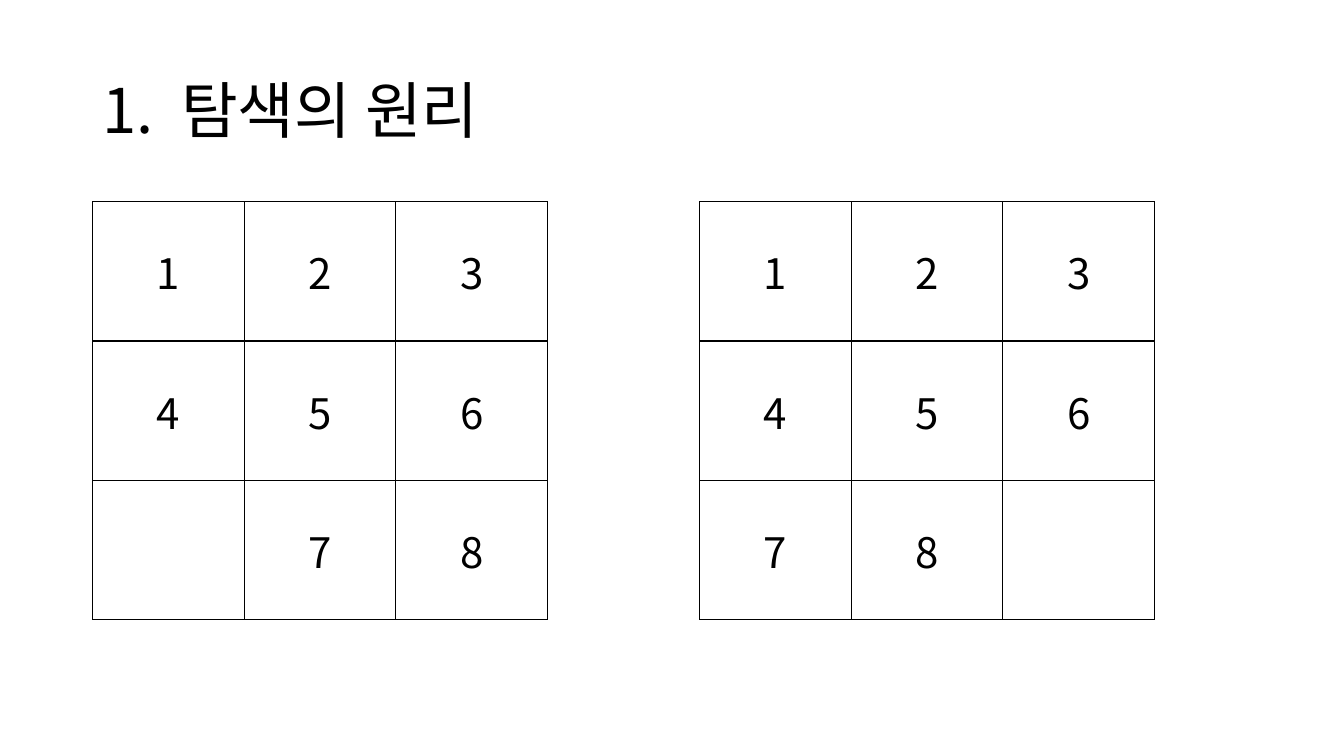
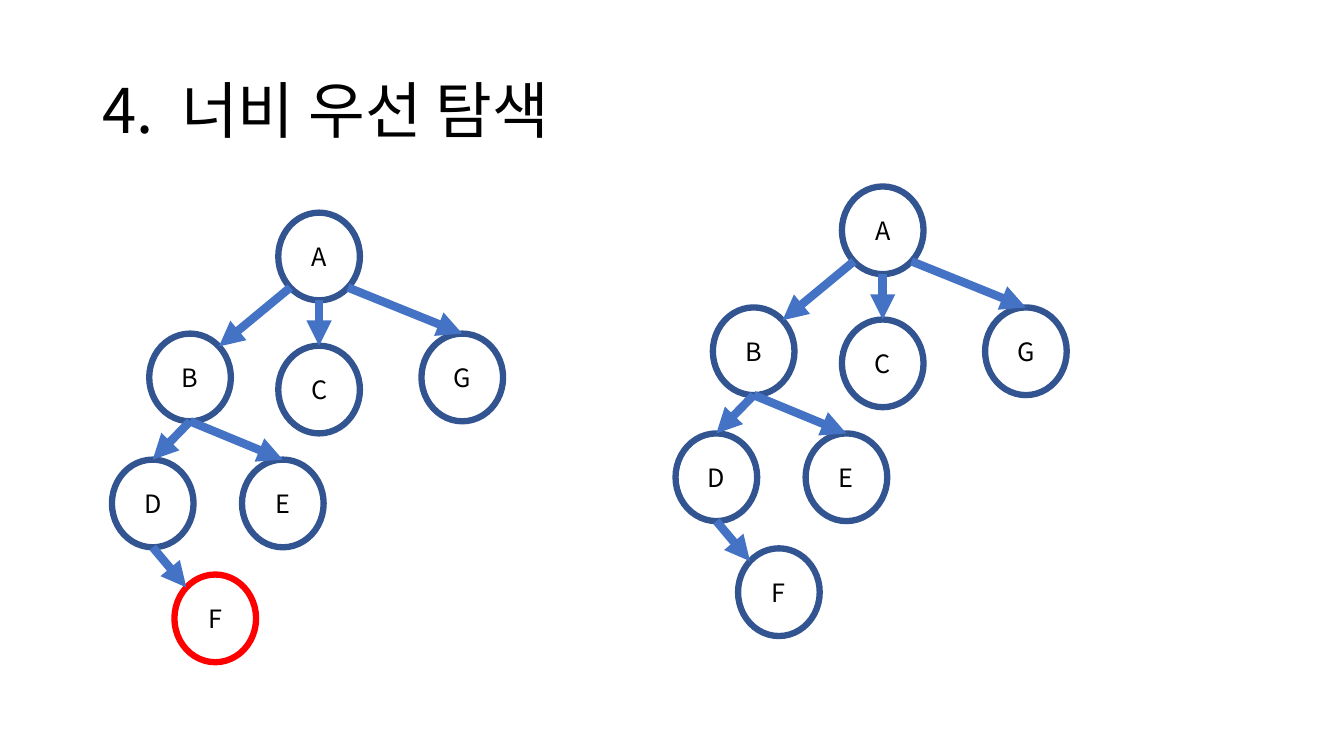
from dataclasses import dataclass
from math import sqrt

from lxml import etree
from pptx import Presentation
from pptx import util as u
from pptx.dml.color import RGBColor
from pptx.enum import shapes, text
from pptx.oxml import ns


@dataclass(frozen=True)
class Theme:
    font: str = "Noto Sans CJK KR"
    ink: RGBColor = RGBColor(0, 0, 0)
    ring: RGBColor = RGBColor(0x32, 0x54, 0x91)
    goal: RGBColor = RGBColor(0xFF, 0, 0)
    arrow: RGBColor = RGBColor(0x44, 0x72, 0xC4)
    title_size: int = 44
    tile_size: int = 30
    node_size: int = 18


theme = Theme()
CENTER = text.PP_ALIGN.CENTER


def write(frame, words, size, align=text.PP_ALIGN.LEFT, spacing=1.0, hanging=0):
    """Put one paragraph in a frame; hanging is the indent after a number."""
    frame.word_wrap = True
    frame.vertical_anchor = text.MSO_ANCHOR.MIDDLE
    paragraph = frame.paragraphs[0]
    paragraph.alignment = align
    paragraph.line_spacing = spacing
    if hanging:
        properties = paragraph._p.get_or_add_pPr()
        properties.set("marL", str(u.Inches(hanging)))
        properties.set("indent", str(-u.Inches(hanging)))
    run = paragraph.add_run()
    run.text = words
    run.font.size = u.Pt(size)
    run.font.name = theme.font
    run.font.color.rgb = theme.ink
    east_asian = etree.SubElement(run._r.get_or_add_rPr(), ns.qn("a:ea"))
    east_asian.set("typeface", theme.font)


deck = Presentation()
deck.slide_width, deck.slide_height = u.Inches(13.33), u.Inches(7.5)

# Slides and their titles
slides = []
for heading in ("1.\t탐색의 원리", "4.\t너비 우선 탐색"):
    slide = deck.slides.add_slide(deck.slide_layouts[6])
    title = slide.shapes.add_textbox(
        u.Inches(0.92), u.Inches(0.4), u.Inches(11.5), u.Inches(1.45))
    write(title.text_frame, heading, theme.title_size, spacing=0.9, hanging=0.78)
    slides.append(slide)
principle, breadth_first = slides

# Sliding puzzle: start and goal boards
for left, tiles in ((0.92, "123456 78"), (6.94, "12345678 ")):
    board = principle.shapes.add_table(
        3, 3, u.Inches(left), u.Inches(2), u.Inches(4.51), u.Inches(4.15)).table
    board.first_row = board.horz_banding = False
    for cell, tile in zip(board.iter_cells(), tiles):
        cell.fill.background()
        cell.vertical_anchor = text.MSO_ANCHOR.MIDDLE
        if tile.strip():
            write(cell.text_frame, tile, theme.tile_size, align=CENTER)
        for place, side in enumerate(("a:lnL", "a:lnR", "a:lnT", "a:lnB")):
            border = etree.Element(ns.qn(side), w=str(u.Pt(1)))
            fill = etree.SubElement(border, ns.qn("a:solidFill"))
            etree.SubElement(fill, ns.qn("a:srgbClr"), val=str(theme.ink))
            cell._tc.get_or_add_tcPr().insert(place, border)

# Search tree: node offsets from the root, and where arrows touch the nodes
NODE_WIDTH, NODE_HEIGHT = 0.81, 0.87
nodes = {"A": (0, 0), "B": (-1.28, 1.2), "C": (0, 1.32), "G": (1.42, 1.2),
         "D": (-1.65, 2.45), "E": (-0.36, 2.45), "F": (-1.03, 3.59)}
diagonal = 1 / sqrt(2)
touch = {"top": (0, -1), "bottom": (0, 1),
         "top left": (-diagonal, -diagonal), "top right": (diagonal, -diagonal),
         "bottom left": (-diagonal, diagonal), "bottom right": (diagonal, diagonal)}
edges = (("A", "bottom left", "B", "top right"), ("A", "bottom", "C", "top"),
         ("A", "bottom right", "G", "top"), ("B", "bottom", "D", "top"),
         ("B", "bottom", "E", "top"), ("D", "bottom", "F", "top left"))

for root_left, root_top, goal in ((2.76, 2.11, "F"), (8.35, 1.85, None)):
    tree = breadth_first.shapes.add_group_shape().shapes

    # Nodes
    for name, (dx, dy) in nodes.items():
        node = tree.add_shape(
            shapes.MSO_SHAPE.OVAL, u.Inches(root_left + dx), u.Inches(root_top + dy),
            u.Inches(NODE_WIDTH), u.Inches(NODE_HEIGHT))
        node.shadow.inherit = False
        node.fill.background()
        node.line.color.rgb = theme.goal if name == goal else theme.ring
        node.line.width = u.Pt(4.5)
        write(node.text_frame, name, theme.node_size, align=CENTER)

    # Arrows from parent to child
    for parent, leave, child, arrive in edges:
        ends = []
        for name, side in ((parent, leave), (child, arrive)):
            (dx, dy), (across, down) = nodes[name], touch[side]
            ends += [u.Inches(root_left + dx + NODE_WIDTH / 2 * (1 + across)),
                     u.Inches(root_top + dy + NODE_HEIGHT / 2 * (1 + down))]
        arrow = tree.add_connector(shapes.MSO_CONNECTOR.STRAIGHT, *ends)
        arrow.line.color.rgb = theme.arrow
        arrow.line.width = u.Pt(6)
        etree.SubElement(arrow.line._get_or_add_ln(), ns.qn("a:tailEnd"), type="triangle")
        etree.SubElement(arrow._element.spPr, ns.qn("a:effectLst"))

deck.save("out.pptx")
